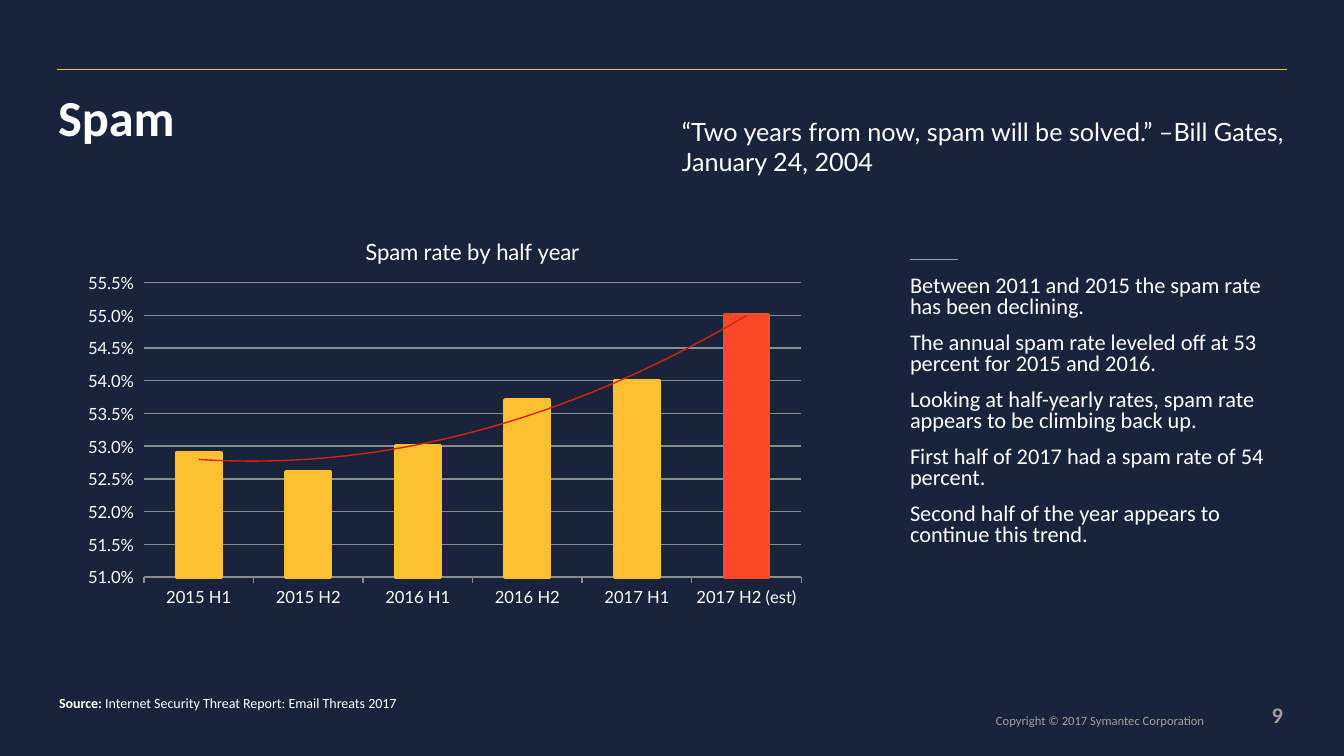
"""Build the slide on the half-yearly spam rate."""
from lxml import etree
from pptx import Presentation
from pptx import util as u
from pptx.chart.data import CategoryChartData
from pptx.dml.color import RGBColor
from pptx.enum import chart as charts, shapes, text
from pptx.oxml import parse_xml
from pptx.oxml.ns import nsdecls, qn

COLORS = {"navy": "19233C", "white": "FFFFFF", "taupe": "A79D97", "yellow": "FDC130",
          "red": "FB4928", "trend": "D62504", "grid": "8B8C8B"}
TITLE = "Spam"
QUOTE = "“Two years from now, spam will be solved.” –Bill Gates, January 24, 2004"
FINDINGS = [
    "Between 2011 and 2015 the spam rate has been declining.",
    "The annual spam rate leveled off at 53 percent for 2015 and 2016.",
    "Looking at half-yearly rates, spam rate appears to be climbing back up.",
    "First half of 2017 had a spam rate of 54 percent.",
    "Second half of the year appears to continue this trend.",
]
SOURCE = ("Source: ", "Internet Security Threat Report: Email Threats 2017")
COPYRIGHT = "Copyright © 2017 Symantec Corporation"
PAGE = "9"
CHART_TITLE = "Spam rate by half year"
RATES = {"2015 H1": 0.529, "2015 H2": 0.526, "2016 H1": 0.53,
         "2016 H2": 0.537, "2017 H1": 0.54, "2017 H2 (est)": 0.55}
PLOT = {"x": 0.063, "y": 0.16, "w": 0.875, "h": 0.729}
RULES = [(57, 70, 1287, "yellow"), (910, 260, 958, "taupe")]
EMU_PER_PX = 914400 / 100.8


def px(*lengths):
    return [u.Emu(round(length * EMU_PER_PX)) for length in lengths]


def rgb(name):
    return RGBColor.from_string(COLORS[name])


def set_font(font, size, color="white", name="Calibri", bold=False):
    font.size, font.name, font.bold = u.Pt(size), name, bold
    font.color.rgb = rgb(color)


def set_line(line, color, width):
    line.color.rgb = rgb(color)
    line.width = u.Pt(width)


def set_frame(frame, inset=0, anchor=text.MSO_ANCHOR.TOP):
    frame.word_wrap = True
    frame.auto_size = text.MSO_AUTO_SIZE.NONE
    frame.vertical_anchor = anchor
    frame.margin_left = frame.margin_right = px(inset)[0]
    frame.margin_top = frame.margin_bottom = px(inset / 2)[0]


def add_text(slide, box, lines, size, color="white", name="Calibri", bold=False,
             align=text.PP_ALIGN.LEFT, spacing=1.0, gap=0, **frame_options):
    frame = slide.shapes.add_textbox(*px(*box)).text_frame
    set_frame(frame, **frame_options)
    for index, line in enumerate(lines):
        paragraph = frame.add_paragraph() if index else frame.paragraphs[0]
        paragraph.text = line
        paragraph.alignment = align
        paragraph.line_spacing = spacing
        paragraph.space_before = u.Pt(gap if index else 0)
        set_font(paragraph.font, size, color, name, bold)
    return frame


def add_title(slide):
    title = slide.shapes.title
    title.left, title.top, title.width, title.height = px(58, 98, 1225, 61)
    set_frame(title.text_frame)
    title.text_frame.text = TITLE
    paragraph = title.text_frame.paragraphs[0]
    paragraph.alignment = text.PP_ALIGN.LEFT
    paragraph.line_spacing = 0.8
    set_font(paragraph.font, 36, bold=True)


def add_rules(slide):
    for left, top, right, color in RULES:
        rule = slide.shapes.add_connector(shapes.MSO_CONNECTOR.STRAIGHT,
                                          *px(left, top, right, top))
        set_line(rule.line, color, 0.75)
        etree.SubElement(rule._element.spPr, qn("a:effectLst"))


def add_trend(series):
    trend = parse_xml(
        f'<c:trendline {nsdecls("c", "a")}><c:spPr><a:ln w="12700"><a:solidFill>'
        f'<a:srgbClr val="{COLORS["trend"]}"/></a:solidFill></a:ln></c:spPr>'
        '<c:trendlineType val="poly"/><c:order val="2"/>'
        '<c:dispRSqr val="0"/><c:dispEq val="0"/></c:trendline>')
    series._element.find(qn("c:cat")).addprevious(trend)


def set_plot_area(chart):
    modes = '<c:xMode val="edge"/><c:yMode val="edge"/>'
    sizes = "".join(f'<c:{key} val="{value}"/>' for key, value in PLOT.items())
    layout = parse_xml(
        f'<c:layout {nsdecls("c")}><c:manualLayout><c:layoutTarget val="inner"/>'
        f'{modes}{sizes}</c:manualLayout></c:layout>')
    area = chart._chartSpace.chart.plotArea
    for old in area.findall(qn("c:layout")):
        area.remove(old)
    area.insert(0, layout)


def add_rate_chart(slide):
    data = CategoryChartData(number_format="0.0%")
    data.categories = list(RATES)
    data.add_series("Spam rate", RATES.values())
    chart = slide.shapes.add_chart(charts.XL_CHART_TYPE.COLUMN_CLUSTERED,
                                   *px(88, 218, 760, 404), data).chart
    set_font(chart.font, 12, name="Lato")
    chart.has_legend = False
    chart.has_title = True
    chart.chart_title.include_in_layout = False
    chart.chart_title.text_frame.text = CHART_TITLE
    set_font(chart.chart_title.text_frame.paragraphs[0].font, 16, name="Lato")
    set_plot_area(chart)

    rates = chart.value_axis
    rates.minimum_scale, rates.maximum_scale, rates.major_unit = 0.51, 0.555, 0.005
    rates.tick_labels.number_format = "0.0%"
    rates.tick_labels.number_format_is_linked = False
    rates.format.line.fill.background()
    set_line(rates.major_gridlines.format.line, "grid", 1)
    set_line(chart.category_axis.format.line, "grid", 1)

    plot = chart.plots[0]
    plot.vary_by_categories = False
    plot.gap_width = 150
    series = plot.series[0]
    series.invert_if_negative = False
    estimate = series.points[len(RATES) - 1]
    for bar, color in ((series, "yellow"), (estimate, "red")):
        bar.format.fill.solid()
        bar.format.fill.fore_color.rgb = rgb(color)
        set_line(bar.format.line, color, 3)
    add_trend(series)


def add_source(slide):
    paragraph = add_text(slide, (49, 689, 370, 29), [""], 10, inset=10).paragraphs[0]
    for index, part in enumerate(SOURCE):
        run = paragraph.add_run()
        run.text = part
        set_font(run.font, 10, bold=index == 0)


def main():
    presentation = Presentation()
    presentation.slide_width, presentation.slide_height = px(1344, 756)
    slide = presentation.slides.add_slide(presentation.slide_layouts[5])
    slide.background.fill.solid()
    slide.background.fill.fore_color.rgb = rgb("navy")
    footer = {"color": "taupe", "align": text.PP_ALIGN.RIGHT,
              "anchor": text.MSO_ANCHOR.BOTTOM}
    add_text(slide, (1249, 713, 34, 15), [PAGE], 16, bold=True, **footer)
    add_text(slide, (702, 709, 502, 19), [COPYRIGHT], 9, spacing=0.9, **footer)
    add_rules(slide)
    add_title(slide)
    add_text(slide, (910, 276, 370, 288), FINDINGS, 16, spacing=0.8, gap=10)
    add_rate_chart(slide)
    add_text(slide, (672, 111, 672, 72), [QUOTE], 18, name="Lato", inset=10)
    add_source(slide)
    presentation.save("out.pptx")


if __name__ == "__main__":
    main()
